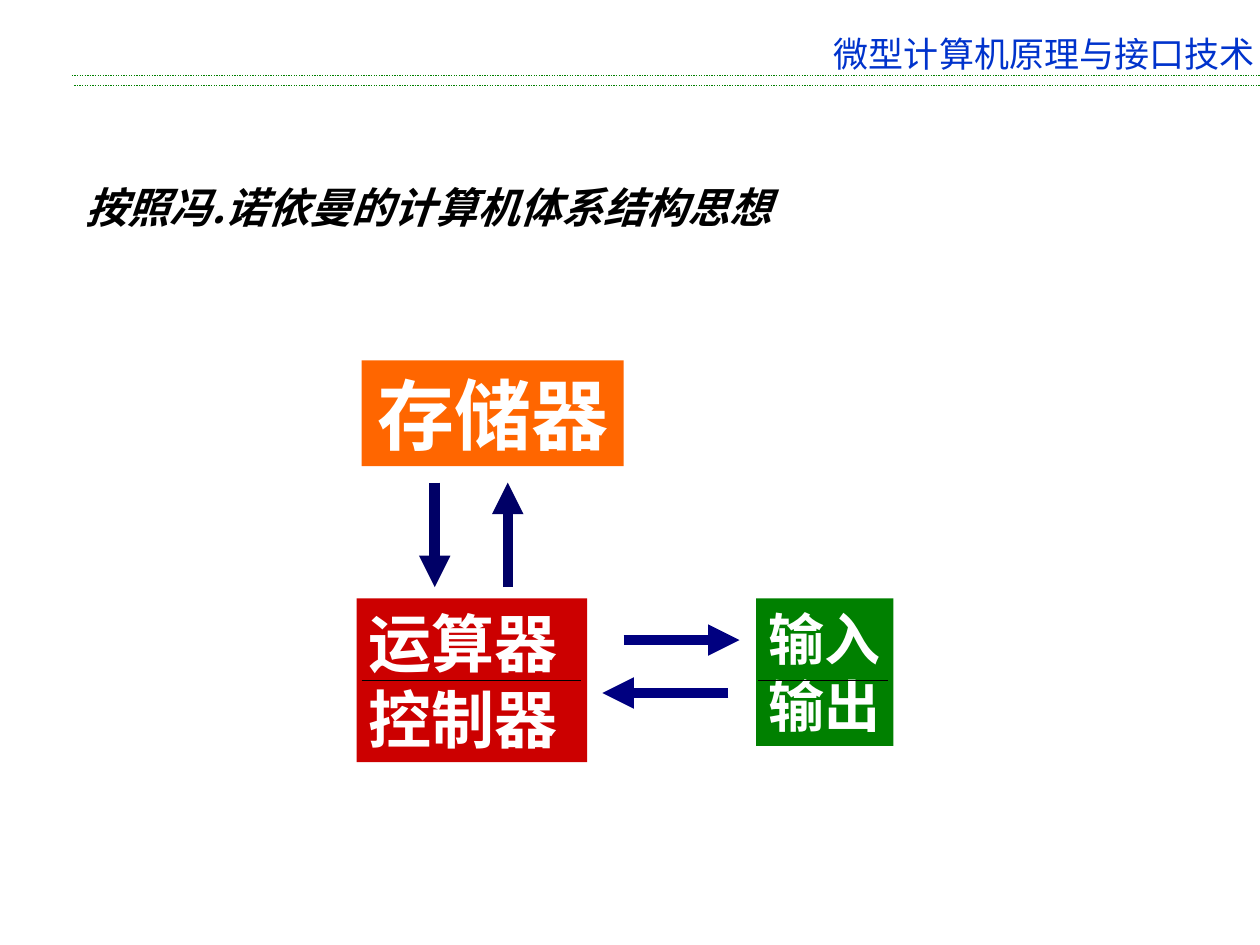
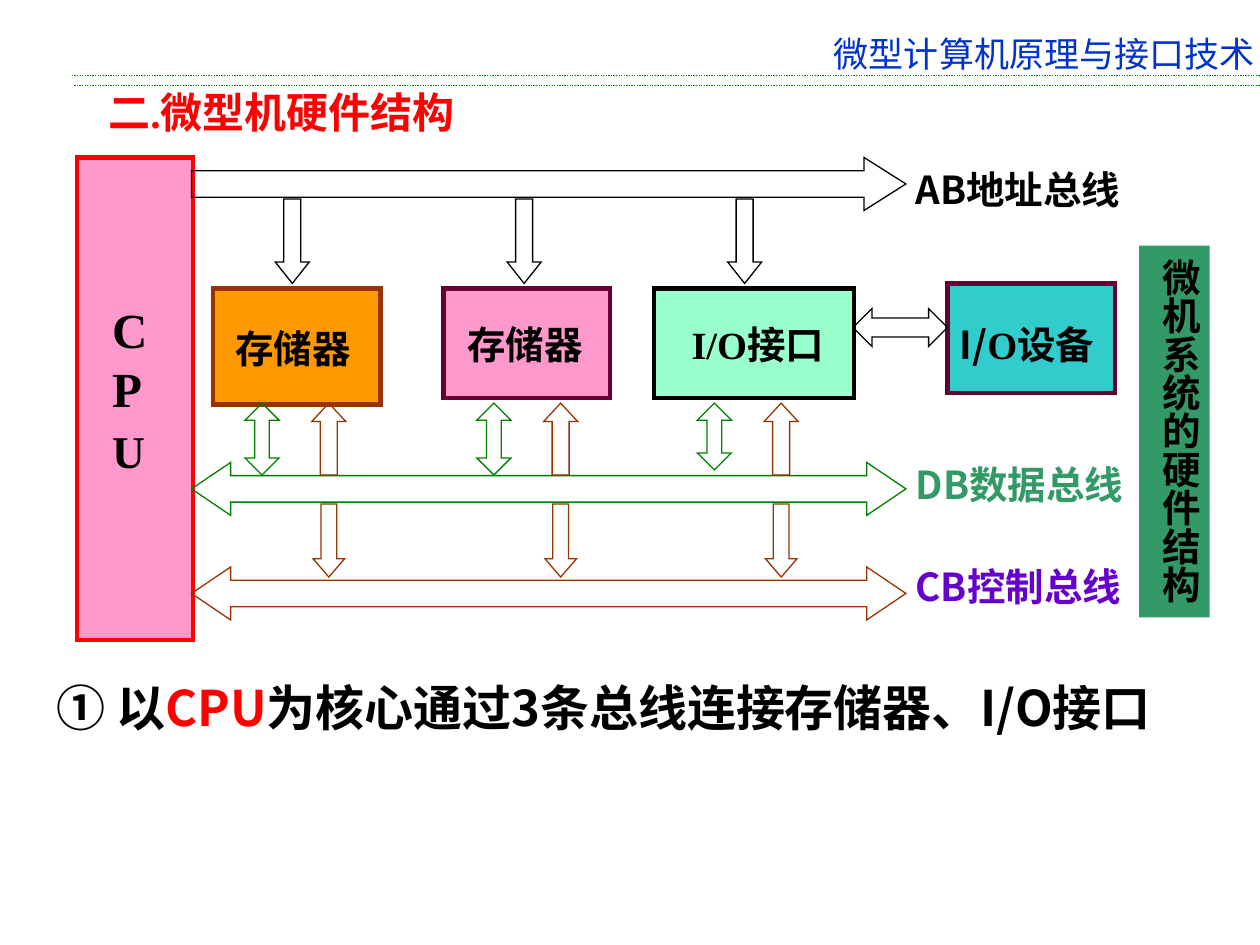
import pptx
import pptx.util
import pptx.dml.color
import pptx.enum.dml
import pptx.enum.shapes
import pptx.enum.text
import pptx.oxml.ns
from lxml import etree

Inches = pptx.util.Inches
Pt = pptx.util.Pt
RGBColor = pptx.dml.color.RGBColor
SHAPE = pptx.enum.shapes.MSO_SHAPE
ALIGN = pptx.enum.text.PP_ALIGN
ANCHOR = pptx.enum.text.MSO_ANCHOR
AUTO_SIZE = pptx.enum.text.MSO_AUTO_SIZE
qn = pptx.oxml.ns.qn

# Fonts and colours
SANS = "Noto Sans CJK SC"
SERIF = "Times New Roman"
BLACK = RGBColor(0x00, 0x00, 0x00)
WHITE = RGBColor(0xFF, 0xFF, 0xFF)
RED = RGBColor(0xFF, 0x00, 0x00)
DARK_RED = RGBColor(0xCC, 0x00, 0x00)
GREEN = RGBColor(0x00, 0x80, 0x00)
SEA_GREEN = RGBColor(0x33, 0x99, 0x66)
MINT = RGBColor(0x99, 0xFF, 0xCC)
TEAL = RGBColor(0x33, 0xCC, 0xCC)
HEADER_BLUE = RGBColor(0x00, 0x33, 0xCC)
NAVY = RGBColor(0x00, 0x00, 0x80)
DEEP_NAVY = RGBColor(0x00, 0x00, 0x66)
VIOLET = RGBColor(0x66, 0x00, 0xCC)
PINK = RGBColor(0xFF, 0x99, 0xCC)
PLUM = RGBColor(0x66, 0x00, 0x33)
BROWN = RGBColor(0x99, 0x33, 0x00)
AMBER = RGBColor(0xFF, 0x99, 0x00)
ORANGE = RGBColor(0xFF, 0x66, 0x00)


def style_run(run, size, color, font=SANS, bold=True, italic=False):
    run.font.size = Pt(size)
    run.font.bold = bold
    run.font.italic = italic
    run.font.color.rgb = color
    run.font.name = font
    east_asian = etree.Element(qn("a:ea"), typeface=SANS)
    run.font._element.find(qn("a:latin")).addnext(east_asian)


def write(frame, lines, size, color, align=ALIGN.LEFT, wrap=True, grow=True, **style):
    """Fill a text frame with one paragraph per line, all styled alike."""
    frame.text = "\n".join(lines)
    frame.word_wrap = wrap
    frame.auto_size = AUTO_SIZE.SHAPE_TO_FIT_TEXT if grow else AUTO_SIZE.NONE
    frame.vertical_anchor = ANCHOR.TOP
    for paragraph in frame.paragraphs:
        paragraph.alignment = align
        for run in paragraph.runs:
            style_run(run, size, color, **style)


def add_label(slide, box, lines, size, color, **style):
    label = slide.shapes.add_textbox(*map(Inches, box))
    write(label.text_frame, lines, size, color, **style)
    return label.text_frame


def add_block(slide, box, fill=None, border=None, width=2.5, kind=SHAPE.RECTANGLE):
    block = slide.shapes.add_shape(kind, *map(Inches, box))
    block.shadow.inherit = False
    if fill is None:
        block.fill.background()
    else:
        block.fill.solid()
        block.fill.fore_color.rgb = fill
    if border is None:
        block.line.fill.background()
    else:
        block.line.color.rgb = border
        block.line.width = Pt(width)
        # Square corners
        etree.SubElement(block.line._get_or_add_ln(), qn("a:miter"), lim="800000")
    return block


def add_block_arrow(slide, kind, box, color, head):
    arrow = add_block(slide, box, border=color, width=0.75, kind=kind)
    arrow.adjustments[0] = 0.5
    arrow.adjustments[1] = head


def add_line(slide, start, end, color, width=0.75, arrow=False, dash=None):
    line = slide.shapes.add_connector(
        pptx.enum.shapes.MSO_CONNECTOR.STRAIGHT, *map(Inches, start + end))
    line.line.color.rgb = color
    line.line.width = Pt(width)
    if dash:
        line.line.dash_style = dash
    if arrow:
        etree.SubElement(line.line._get_or_add_ln(), qn("a:tailEnd"), type="triangle")
    etree.SubElement(line._element.spPr, qn("a:effectLst"))


def add_course_slide(deck):
    """Blank slide with the course name and double rule on top."""
    slide = deck.slides.add_slide(deck.slide_layouts[6])
    for left, y in ((0.59, 0.68), (0.57, 0.6)):
        add_line(slide, (left, y), (10, y), GREEN,
                 dash=pptx.enum.dml.MSO_LINE.ROUND_DOT)
    add_label(slide, (6.52, 0.21, 3.6, 0.28), ["微型计算机原理与接口技术"], 20,
              HEADER_BLUE, bold=False, wrap=False, grow=False)
    return slide


def build_von_neumann(slide):
    add_label(slide, (0.58, 1.39, 5.92, 0.5), ["按照冯.诺依曼的计算机体系结构思想"],
              24, BLACK, italic=True)

    # Memory
    memory = add_block(slide, (2.87, 2.86, 2.08, 0.84), ORANGE)
    write(memory.text_frame, ["存储器"], 44, WHITE, align=ALIGN.CENTER)
    memory.text_frame.vertical_anchor = ANCHOR.MIDDLE

    # Units split by a divider
    units = (
        ((2.83, 4.75, 1.83, 1.3), DARK_RED, ["运算器控制器"], 36, 2.87, 4.61),
        ((6, 4.75, 1.09, 1.17), GREEN, ["输入", "输出"], 32, 6.02, 7.05),
    )
    for box, fill, lines, size, left, right in units:
        unit = add_block(slide, box, fill)
        write(unit.text_frame, lines, size, WHITE)
        add_line(slide, (left, 5.4), (right, 5.4), BLACK)

    # Data flow
    flows = (
        ((3.45, 3.83), (3.45, 4.66), DEEP_NAVY),
        ((4.03, 4.66), (4.03, 3.83), DEEP_NAVY),
        ((4.95, 5.08), (5.87, 5.08), NAVY),
        ((5.78, 5.5), (4.78, 5.5), NAVY),
    )
    for start, end, color in flows:
        add_line(slide, start, end, color, width=6, arrow=True)


def build_bus_structure(slide):
    add_label(slide, (0.68, 0.64, 3.11, 0.5), ["二.微型机硬件结构"], 24, RED,
              font=SERIF, align=ALIGN.CENTER, wrap=False)

    # CPU
    add_block(slide, (0.61, 1.25, 0.92, 3.83), PINK, RED)
    cpu = add_label(slide, (0.69, 2.33, 0.58, 1.5), "CPU", 28, BLACK,
                    font=SERIF, wrap=False)
    cpu.margin_left = Inches(0.2)
    cpu.paragraphs[2].space_before = Pt(3)
    cpu.paragraphs[2].runs[0].font.size = Pt(26)

    # Modules and their labels
    modules = (
        ((1.69, 2.29, 1.33, 0.92), AMBER, BROWN, "存储器", (1.77, 2.53, 1.24, 0.47), SANS),
        ((3.52, 2.29, 1.32, 0.87), PINK, PLUM, "存储器", (3.61, 2.5, 1.24, 0.47), SANS),
        ((5.19, 2.29, 1.59, 0.87), MINT, BLACK, "I/O接口", (5.39, 2.5, 1.39, 0.47), SERIF),
    )
    for box, fill, border, name, label_box, font in modules:
        add_block(slide, box, fill, border)
        add_label(slide, label_box, [name], 22, BLACK, font=font)

    # Device, with the letter O in the serif font
    add_block(slide, (7.52, 2.25, 1.33, 0.87), TEAL, PLUM)
    device = add_label(slide, (7.52, 2.5, 1.52, 0.47), ["I/"], 22, BLACK)
    for part, font in (("O", SERIF), ("设备", SANS)):
        run = device.paragraphs[0].add_run()
        run.text = part
        style_run(run, 22, BLACK, font=font)
    add_block_arrow(slide, SHAPE.LEFT_RIGHT_ARROW, (6.77, 2.45, 0.75, 0.3), BLACK, 0.5)

    # Buses
    buses = (
        (SHAPE.RIGHT_ARROW, 1.25, BLACK, 0.79, "AB地址总线", 1.27, BLACK),
        (SHAPE.LEFT_RIGHT_ARROW, 3.67, GREEN, 0.74, "DB数据总线", 3.61, SEA_GREEN),
        (SHAPE.LEFT_RIGHT_ARROW, 4.5, BROWN, 0.74, "CB控制总线", 4.42, VIOLET),
    )
    for kind, top, color, head, name, label_top, label_color in buses:
        add_block_arrow(slide, kind, (1.52, top, 5.67, 0.42), color, head)
        add_label(slide, (7.17, label_top, 2.1, 0.57), [name], 22, label_color,
                  wrap=False, grow=False)

    # Links between each module and the buses
    for center, data_height in ((2.32, 0.57), (4.16, 0.57), (5.91, 0.53)):
        links = (
            (SHAPE.DOWN_ARROW, 0, 1.58, 0.27, 0.67, BLACK, 0.63),
            (SHAPE.UP_DOWN_ARROW, -0.24, 3.2, 0.27, data_height, GREEN, 0.43),
            (SHAPE.UP_ARROW, 0.29, 3.2, 0.27, 0.57, BROWN, 0.54),
            (SHAPE.DOWN_ARROW, 0.29, 4, 0.25, 0.58, BROWN, 0.58),
        )
        for kind, offset, top, width, height, color, head in links:
            left = center + offset - width / 2
            add_block_arrow(slide, kind, (left, top, width, height), color, head)

    # Vertical caption
    caption = add_block(slide, (9.04, 1.95, 0.56, 2.95), SEA_GREEN).text_frame
    write(caption, ["微机系统的硬件结构"], 22, BLACK)
    caption.margin_left = caption.margin_right = Inches(0.05)
    caption.margin_top = caption.margin_bottom = Inches(0.1)
    caption._txBody.bodyPr.set("vert", "eaVert")

    # Summary, with CPU picked out in red
    summary = add_label(slide, (0.35, 5.33, 9.45, 0.57), ["① 以"], 28, BLACK, wrap=False)
    for part, color in (("CPU", RED), ("为核心通过3条总线连接存储器、I/O接口", BLACK)):
        run = summary.paragraphs[0].add_run()
        run.text = part
        style_run(run, 28, color)


def main():
    deck = pptx.Presentation()
    deck.slide_width = Inches(10)
    deck.slide_height = Inches(7.5)
    build_von_neumann(add_course_slide(deck))
    build_bus_structure(add_course_slide(deck))
    deck.save("out.pptx")


if __name__ == "__main__":
    main()
